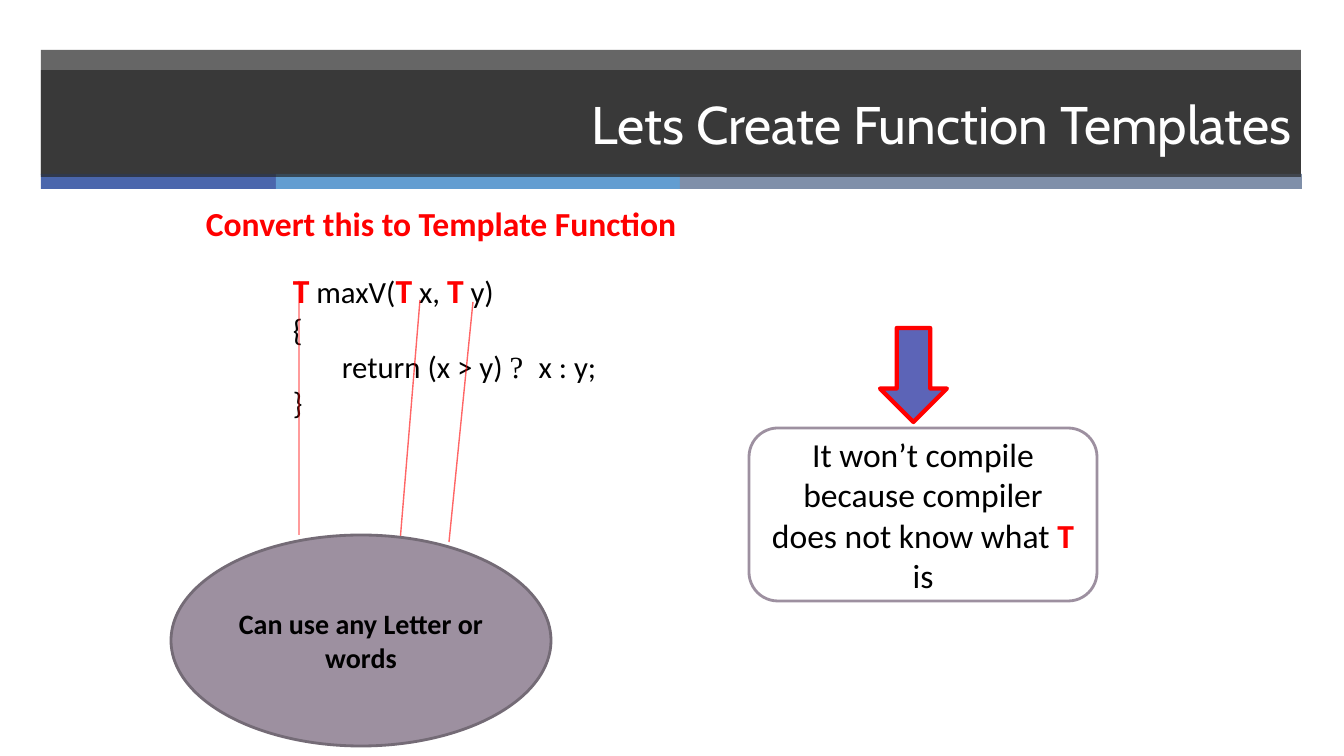
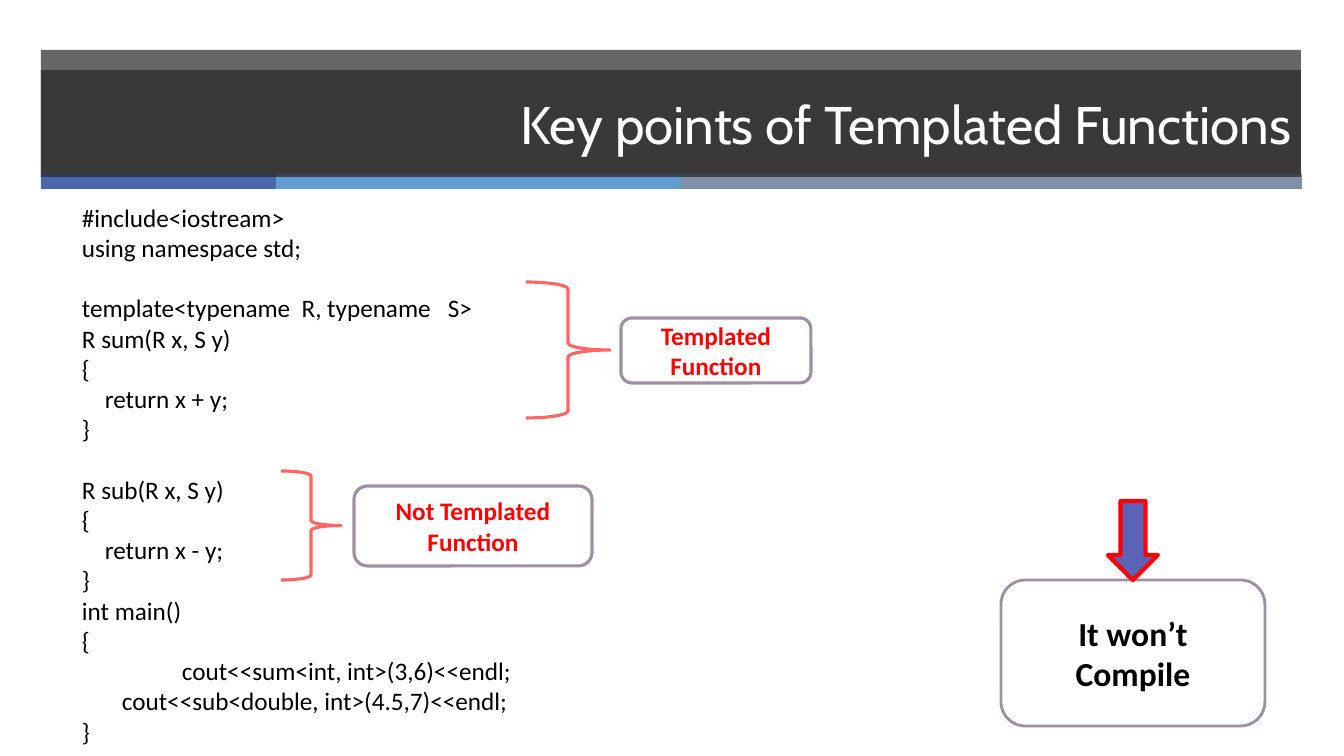
from pptx import Presentation
from pptx.dml.color import RGBColor
from pptx.enum.shapes import MSO_CONNECTOR, MSO_SHAPE
from pptx.enum.text import MSO_ANCHOR, MSO_AUTO_SIZE, PP_ALIGN
from pptx.oxml.ns import qn
from pptx.util import Emu, Pt
from lxml import etree

BLACK = RGBColor(0x00, 0x00, 0x00)
WHITE = RGBColor(0xFF, 0xFF, 0xFF)
RED = RGBColor(0xFF, 0x00, 0x00)
CHARCOAL = RGBColor(0x26, 0x26, 0x26)
MAUVE = RGBColor(0x9D, 0x90, 0xA0)
DARK_MAUVE = RGBColor(0x74, 0x6B, 0x76)
INDIGO = RGBColor(0x5C, 0x64, 0xB7)
BLUE = RGBColor(0x4A, 0x66, 0xAC)
SKY = RGBColor(0x62, 0x9D, 0xD1)
SLATE = RGBColor(0x7F, 0x8F, 0xA9)

BODY_FONT, TITLE_FONT, SYMBOL_FONT = "Calibri", "Cabin", "Times New Roman"
TITLE_BOX = (41, 70, 1260, 107)
HEADER_BAND = (41, 50, 1260, 125)
STRIPES = [(235, BLUE), (404, SKY), (622, SLATE)]
STRIPE_TOP, STRIPE_HEIGHT = 174, 15

# A run is (text, size, colour, bold, font); a line is (runs, indent, blank lines before).
T = ("T", 24, RED, True, BODY_FONT)


def plain(text, size=22, font=BODY_FONT):
    """Return a black regular run."""
    return (text, size, BLACK, False, font)


def strong(text, size, color=BLACK):
    """Return a bold run."""
    return (text, size, color, True, BODY_FONT)


HEADING = [([strong("Convert this to Template Function", 24, RED)], 0, 0)]
MAX_CODE = [
    ([T, plain(" maxV("), T, plain(" x, "), T, plain(" y)")], 0, 0),
    ([plain("{")], 0, 0),
    ([plain("return (x > y) "), plain("?  ", font=SYMBOL_FONT), plain("x : y;")], 49, 0),
    ([plain("}")], 0, 0),
]
POINTERS = [((299, 281), (299, 535)), ((420, 300), (400, 542)), ((473, 302), (449, 542))]
UNKNOWN_T = [plain("It won’t compile because compiler does not know what ", 24), T,
             plain(" is", 24)]

PROGRAM = [  # text, indent, blank lines before
    ("#include<iostream>", 0, 0),
    ("using namespace std;", 0, 0),
    ("template<typename  R, typename   S>", 0, 1),
    ("R sum(R x, S y)", 0, 0),
    ("{", 0, 0),
    ("return x + y;", 23, 0),
    ("}", 0, 0),
    ("R sub(R x, S y)", 0, 1),
    ("{", 0, 0),
    ("return x - y;", 23, 0),
    ("}", 0, 0),
    ("int main()", 0, 0),
    ("{", 0, 0),
    ("cout<<sum<int, int>(3,6)<<endl;", 100, 0),
    ("cout<<sub<double, int>(4.5,7)<<endl;", 40, 0),
    ("}", 0, 0),
]
PROGRAM_PITCH = 21.6
BRACES = [  # brace box, label box, label
    ((526, 282, 84, 136), (621, 318, 190, 65), "Templated Function"),
    ((281, 471, 60, 109), (354, 486, 238, 80), "Not Templated Function"),
]


def px(value):
    """Turn pixels into EMU."""
    return Emu(round(value * 914400 / 100.8))


def set_opacity(shape, percent):
    """Make the fill and line colours of a shape partly transparent."""
    for color in shape.element.spPr.iter(qn("a:srgbClr")):
        etree.SubElement(color, qn("a:alpha")).set("val", str(percent * 1000))


def write_runs(paragraph, runs):
    """Add formatted runs to a paragraph."""
    for text, size, color, bold, font in runs:
        run = paragraph.add_run()
        run.text = text
        run.font.size = Pt(size)
        run.font.color.rgb = color
        run.font.bold = bold
        run.font.name = font


def add_shape(slide, kind, box, fill=None, line=None, width=2, runs=()):
    """Add a preset shape with optional fill, outline and centred text."""
    shape = slide.shapes.add_shape(kind, *map(px, box))
    shape.shadow.inherit = False
    if fill is None:
        shape.fill.background()
    else:
        shape.fill.solid()
        shape.fill.fore_color.rgb = fill
    if line is None:
        shape.line.fill.background()
    else:
        shape.line.color.rgb = line
        shape.line.width = Pt(width)
    if runs:
        frame = shape.text_frame
        frame.word_wrap = True
        frame.vertical_anchor = MSO_ANCHOR.MIDDLE
        frame.paragraphs[0].alignment = PP_ALIGN.CENTER
        write_runs(frame.paragraphs[0], runs)
    return shape


def add_lines(slide, box, lines, pitch=None):
    """Add a text box with one paragraph per line."""
    frame = slide.shapes.add_textbox(*map(px, box)).text_frame
    frame.word_wrap = True
    for i, (runs, indent, blanks) in enumerate(lines):
        paragraph = frame.add_paragraph() if i else frame.paragraphs[0]
        if pitch:
            paragraph.line_spacing = Pt(pitch)
            paragraph.space_before = Pt(blanks * pitch)
        if indent:
            properties = paragraph._p.get_or_add_pPr()
            properties.set("marL", str(px(indent)))
            properties.set("indent", "0")
        write_runs(paragraph, runs)


def add_pointer(slide, start, end):
    """Add a thin translucent red line."""
    line = slide.shapes.add_connector(MSO_CONNECTOR.STRAIGHT, *map(px, start + end))
    line.line.color.rgb = RED
    line.line.width = Pt(1)
    set_opacity(line, 60)
    etree.SubElement(line.element.spPr, qn("a:effectLst"))


def add_note(slide, box, runs, width=2):
    """Add a white rounded note with a mauve outline."""
    add_shape(slide, MSO_SHAPE.ROUNDED_RECTANGLE, box, WHITE, MAUVE, width, runs)


def add_arrow(slide, box):
    """Add a down arrow outlined in red."""
    add_shape(slide, MSO_SHAPE.DOWN_ARROW, box, INDIGO, RED, 3)


def add_title(slide, text):
    """Place and format the title placeholder."""
    title = slide.shapes.title
    title.left, title.top, title.width, title.height = map(px, TITLE_BOX)
    title.fill.solid()
    title.fill.fore_color.rgb = CHARCOAL
    set_opacity(title, 70)
    frame = title.text_frame
    frame.word_wrap = True
    frame.auto_size = MSO_AUTO_SIZE.NONE
    frame.vertical_anchor = MSO_ANCHOR.MIDDLE
    frame.paragraphs[0].alignment = PP_ALIGN.RIGHT
    write_runs(frame.paragraphs[0], [(text, 37.8, WHITE, False, TITLE_FONT)])


def move_bands_to_layout(slide, layout):
    """Draw the header bands and move them to the layout, behind its placeholders."""
    bands = [add_shape(slide, MSO_SHAPE.RECTANGLE, HEADER_BAND, CHARCOAL)]
    set_opacity(bands[0], 70)
    left = HEADER_BAND[0]
    for width, color in STRIPES:
        box = (left, STRIPE_TOP, width, STRIPE_HEIGHT)
        bands.append(add_shape(slide, MSO_SHAPE.RECTANGLE, box, color))
        left += width
    for i, band in enumerate(bands):
        layout.shapes.element.insert(2 + i, band.element)


def build_create_slide(slide):
    """Fill the slide that turns a function into a template."""
    add_title(slide, "Lets Create Function Templates")
    add_lines(slide, (196, 198, 813, 50), HEADING)
    add_lines(slide, (283, 265, 476, 163), MAX_CODE)
    add_note(slide, (749, 428, 348, 173), UNKNOWN_T)
    add_arrow(slide, (880, 328, 67, 94))
    for start, end in POINTERS:
        add_pointer(slide, start, end)
    add_shape(slide, MSO_SHAPE.OVAL, (171, 535, 380, 211), MAUVE, DARK_MAUVE,
              runs=[strong("Can use any Letter or words", 20)])


def build_key_points_slide(slide):
    """Fill the slide that marks templated and plain functions."""
    add_title(slide, "Key points of Templated Functions")
    lines = [([plain(text, 18)], indent, blanks) for text, indent, blanks in PROGRAM]
    add_lines(slide, (72, 197, 672, 559), lines, PROGRAM_PITCH)
    for brace_box, label_box, label in BRACES:
        brace = add_shape(slide, MSO_SHAPE.RIGHT_BRACE, brace_box, line=RED, width=2.25)
        set_opacity(brace, 60)
        add_note(slide, label_box, [strong(label, 18, RED)], 2.25)
    add_note(slide, (1001, 580, 264, 146), [strong("It won’t Compile", 24)])
    add_arrow(slide, (1108, 501, 50, 79))


deck = Presentation()
deck.slide_width, deck.slide_height = px(1344), px(756)
title_only = deck.slide_layouts[5]
create_slide = deck.slides.add_slide(title_only)
move_bands_to_layout(create_slide, title_only)
build_create_slide(create_slide)
build_key_points_slide(deck.slides.add_slide(title_only))
deck.save("out.pptx")
